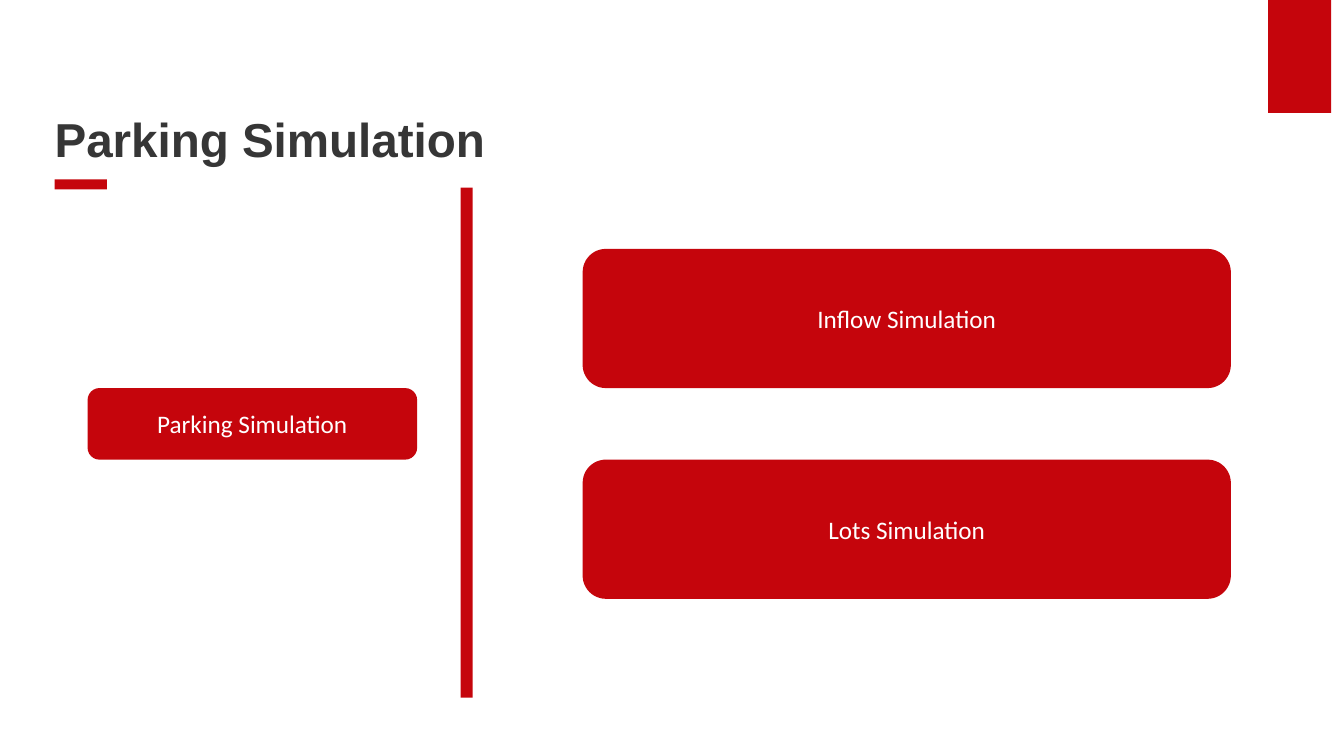
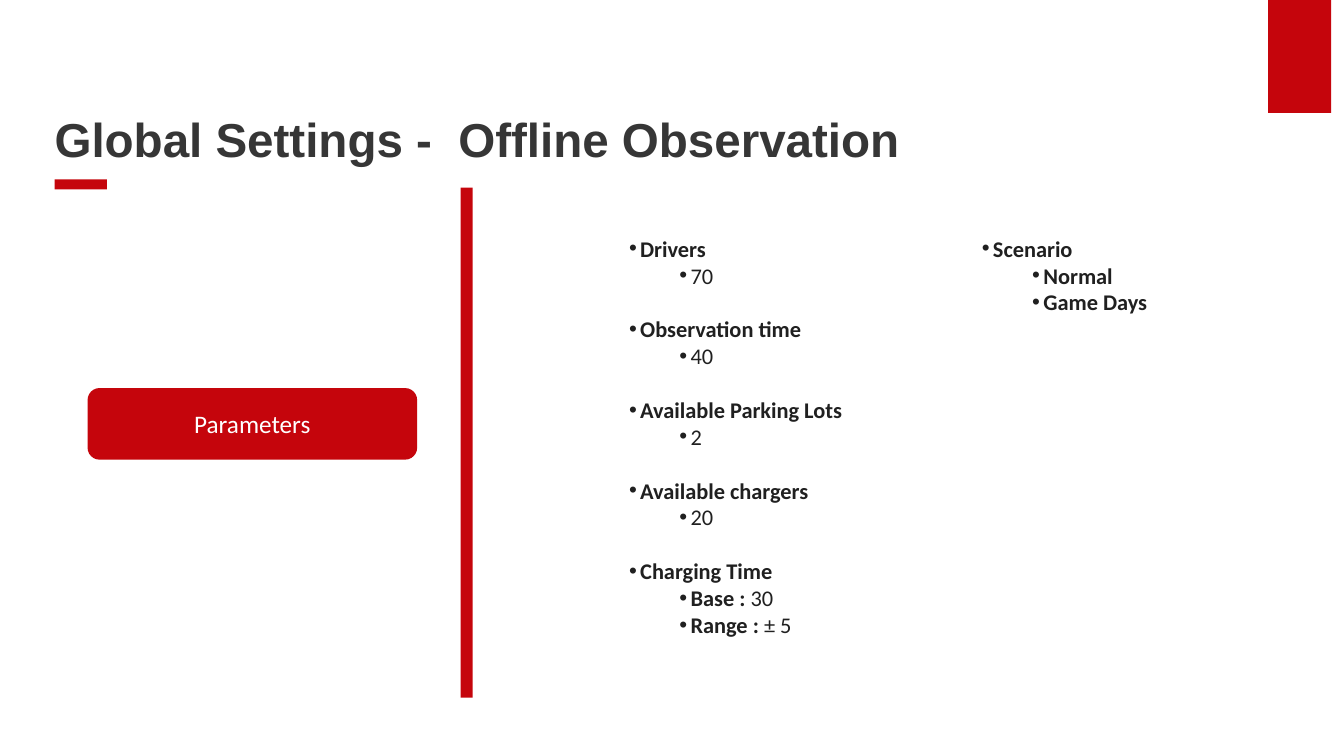
from dataclasses import dataclass

from lxml.etree import SubElement
from pptx import Presentation
from pptx.dml.color import RGBColor
from pptx.enum.shapes import MSO_SHAPE
from pptx.enum.text import MSO_ANCHOR, MSO_AUTO_SIZE, PP_ALIGN
from pptx.oxml.ns import qn
from pptx.util import Pt


@dataclass(frozen=True)
class Theme:
    """Colours, fonts and type sizes."""
    red: str = "C5050C"
    head: str = "363636"
    ink: str = "202020"
    white: str = "FFFFFF"
    serif: str = "Calibri"
    sans: str = "Arial"
    big: int = 34
    mid: int = 18
    small: int = 16


THEME = Theme()
PILL = (62.6, 277.2, 235.4, 51.1)
CARD_X, CARD_W, CARD_H = 416.2, 463, 99.4


def write(par, text, size=THEME.small, font=THEME.serif, color=THEME.ink, bold=False):
    """Add a formatted run to a paragraph."""
    run = par.add_run()
    run.text = text
    run.font.size = Pt(size)
    run.font.name = font
    run.font.bold = bold
    run.font.color.rgb = RGBColor.from_string(color)


class Deck:
    """Holds the style and the current slide."""

    def __init__(self, theme):
        """Start an empty wide deck."""
        self.theme = theme
        self.show = Presentation()
        self.show.slide_width, self.show.slide_height = Pt(960), Pt(540)
        self.slide = None

    def page(self, title, label):
        """Add a slide with its title, red marks, label and divider."""
        look = self.theme
        self.slide = self.show.slides.add_slide(self.show.slide_layouts[5])
        self.block(905.8, 0, 45, 80.6)
        self.block(39, 128.2, 37.4, 7.2)
        box = self.slide.shapes.title
        box.left, box.top, box.width, box.height = map(Pt, (39, 36, 840, 84.2))
        frame = box.text_frame
        frame.auto_size = MSO_AUTO_SIZE.NONE
        frame.word_wrap = True
        frame.vertical_anchor = MSO_ANCHOR.BOTTOM
        frame.margin_left, frame.margin_top = Pt(0), Pt(3.6)
        frame.margin_right, frame.margin_bottom = Pt(7.2), Pt(0)
        par = frame.paragraphs[0]
        par.alignment = PP_ALIGN.LEFT
        par.line_spacing = 0.9
        write(par, title, size=look.big, font=look.sans, color=look.head, bold=True)
        self.card(label, *PILL)
        self.block(329, 134, 8.6, 364.3)

    def block(self, x, y, w, h, kind=MSO_SHAPE.RECTANGLE):
        """Add a plain red shape."""
        shape = self.slide.shapes.add_shape(kind, Pt(x), Pt(y), Pt(w), Pt(h))
        shape.shadow.inherit = False
        shape.fill.solid()
        shape.fill.fore_color.rgb = RGBColor.from_string(self.theme.red)
        shape.line.fill.background()
        return shape

    def card(self, text, x, y, w, h):
        """Add a rounded red card with a centred label."""
        frame = self.block(x, y, w, h, MSO_SHAPE.ROUNDED_RECTANGLE).text_frame
        frame.word_wrap = True
        frame.vertical_anchor = MSO_ANCHOR.MIDDLE
        par = frame.paragraphs[0]
        par.alignment = PP_ALIGN.CENTER
        write(par, text, size=self.theme.mid, color=self.theme.white)

    def point(self, par, level):
        """Give a paragraph its bullet and indent."""
        par.level = level
        props = par._p.get_or_add_pPr()
        props.set("marL", str(Pt(22.5 + 36 * level)))
        props.set("indent", str(Pt(-8)))
        SubElement(props, qn("a:buFont")).set("typeface", self.theme.sans)
        SubElement(props, qn("a:buChar")).set("char", "•")

    def outline(self, groups, x, y, w, h):
        """Add groups of a bold head and (bold, plain) items."""
        box = self.slide.shapes.add_textbox(Pt(x), Pt(y), Pt(w), Pt(h))
        frame = box.text_frame
        frame.word_wrap = True
        par = frame.paragraphs[0]
        for rank, (head, items) in enumerate(groups):
            if rank:
                par = frame.add_paragraph()
            self.point(par, 0)
            if rank:
                par.space_before = Pt(19.2)
            write(par, head, bold=True)
            for strong, plain in items:
                par = frame.add_paragraph()
                self.point(par, 1)
                if strong:
                    write(par, strong, bold=True)
                if plain:
                    write(par, plain)


def main():
    """Build and save both slides."""
    deck = Deck(THEME)
    deck.page("Parking Simulation", "Parking Simulation")
    top, tall = PILL[1], PILL[3]
    deck.card("Inflow Simulation", CARD_X, top - CARD_H, CARD_W, CARD_H)
    deck.card("Lots Simulation", CARD_X, top + tall, CARD_W, CARD_H)

    deck.page("Global Settings -  Offline Observation", "Parameters")
    deck.outline([
        ("Drivers", [("", "70")]),
        ("Observation time", [("", "40")]),
        ("Available Parking Lots", [("", "2")]),
        ("Available chargers", [("", "20")]),
        ("Charging Time", [("Base : ", "30"), ("Range : ", "± 5")]),
    ], 427.7, 164.2, 334.8, 298)
    deck.outline([("Scenario", [("Normal", ""), ("Game Days", "")])],
                 679.7, 164.2, 188.6, 65.5)
    deck.show.save("out.pptx")


if __name__ == "__main__":
    main()
